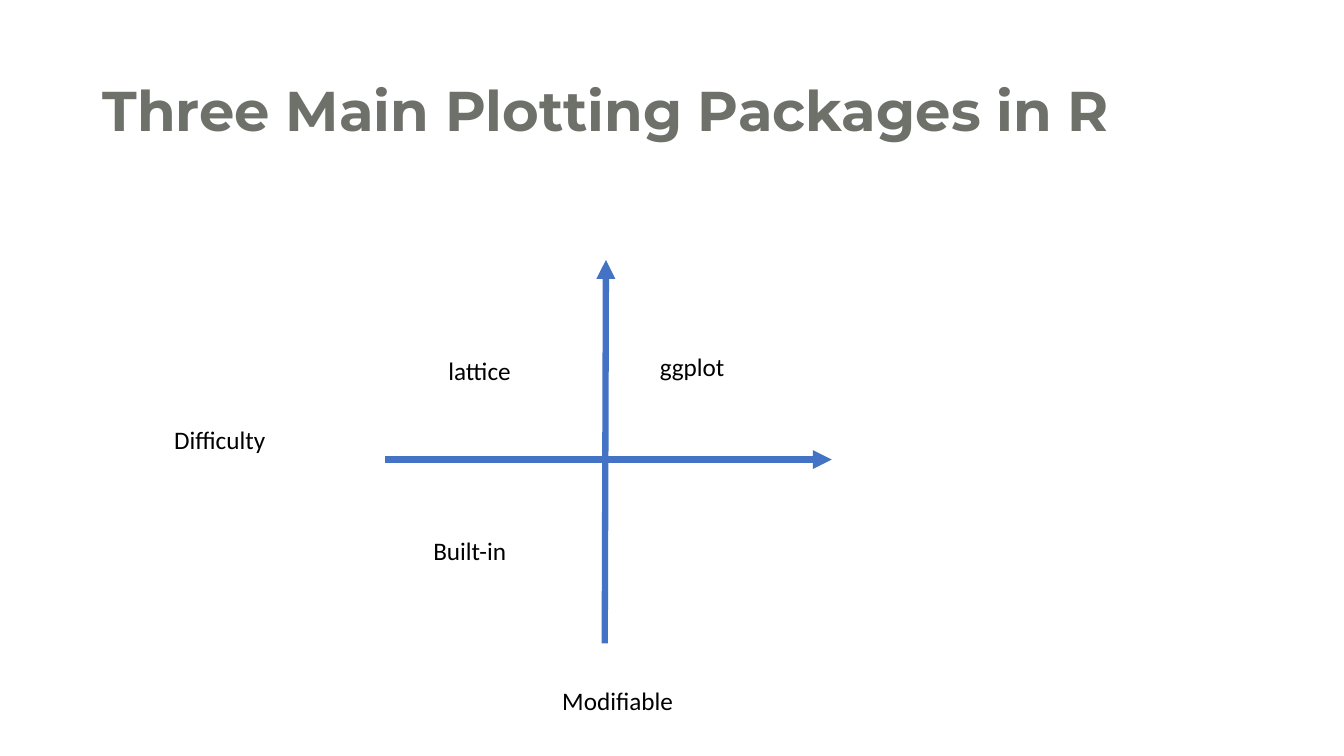
import pptx
import pptx.util
import pptx.dml.color
import pptx.enum.shapes
import pptx.enum.text
import pptx.oxml.ns

Cm = pptx.util.Cm
Pt = pptx.util.Pt
Text = pptx.enum.text
qn = pptx.oxml.ns.qn
GRAY = pptx.dml.color.RGBColor(0x6E, 0x70, 0x6A)
BLUE = pptx.dml.color.RGBColor(0x44, 0x72, 0xC4)
BLACK = pptx.dml.color.RGBColor(0, 0, 0)


class Deck:
    head = {"name": "Montserrat", "size": Pt(40), "bold": True}
    label = {"name": "Calibri", "size": Pt(18), "bold": False}

    def __init__(self, wide, high):
        self.show = pptx.Presentation()
        self.show.slide_width = Cm(wide)
        self.show.slide_height = Cm(high)
        self.slide = self.show.slides.add_slide(self.show.slide_layouts[5])

    def fill(self, frame, words, style, color):
        frame.text = words
        line = frame.paragraphs[0]
        line.alignment = Text.PP_ALIGN.LEFT
        font = line.runs[0].font
        for key, value in style.items():
            setattr(font, key, value)
        font.color.rgb = color
        return line

    def title(self, words, left, top, wide, high):
        shape = self.slide.shapes.title
        place = {"left": left, "top": top, "width": wide, "height": high}
        for key, value in place.items():
            setattr(shape, key, Cm(value))
        frame = shape.text_frame
        frame.auto_size = Text.MSO_AUTO_SIZE.NONE
        frame.vertical_anchor = Text.MSO_ANCHOR.MIDDLE
        self.fill(frame, words, self.head, GRAY).line_spacing = 0.9

    def note(self, words, left, top):
        box = self.slide.shapes.add_textbox(Cm(left), Cm(top), Cm(4.57), Cm(1.03))
        frame = box.text_frame
        frame.word_wrap = True
        frame.auto_size = Text.MSO_AUTO_SIZE.SHAPE_TO_FIT_TEXT
        self.fill(frame, words, self.label, BLACK)

    def arrow(self, *ends):
        kind = pptx.enum.shapes.MSO_CONNECTOR.STRAIGHT
        axis = self.slide.shapes.add_connector(kind, *map(Cm, ends))
        axis.line.color.rgb = BLUE
        axis.line.width = Pt(4.5)
        props = axis.element.spPr
        stroke = props.find(qn("a:ln"))
        stroke.append(stroke.makeelement(qn("a:tailEnd"), {"type": "triangle"}))
        props.append(props.makeelement(qn("a:effectLst"), {}))


def main():
    deck = Deck(33.87, 19.05)
    deck.title("Three Main Plotting Packages in R", 2.33, 1.01, 29.21, 3.68)
    deck.arrow(9.7, 11.58, 20.96, 11.58)
    deck.arrow(15.24, 16.21, 15.27, 6.55)
    for words, left, top in (
        ("Difficulty", 4.14, 10.57),
        ("Modifiable", 13.92, 17.15),
        ("Built-in", 10.67, 13.36),
        ("lattice", 11.05, 8.84),
        ("ggplot", 16.38, 8.74),
    ):
        deck.note(words, left, top)
    deck.show.save("out.pptx")


if __name__ == "__main__":
    main()
